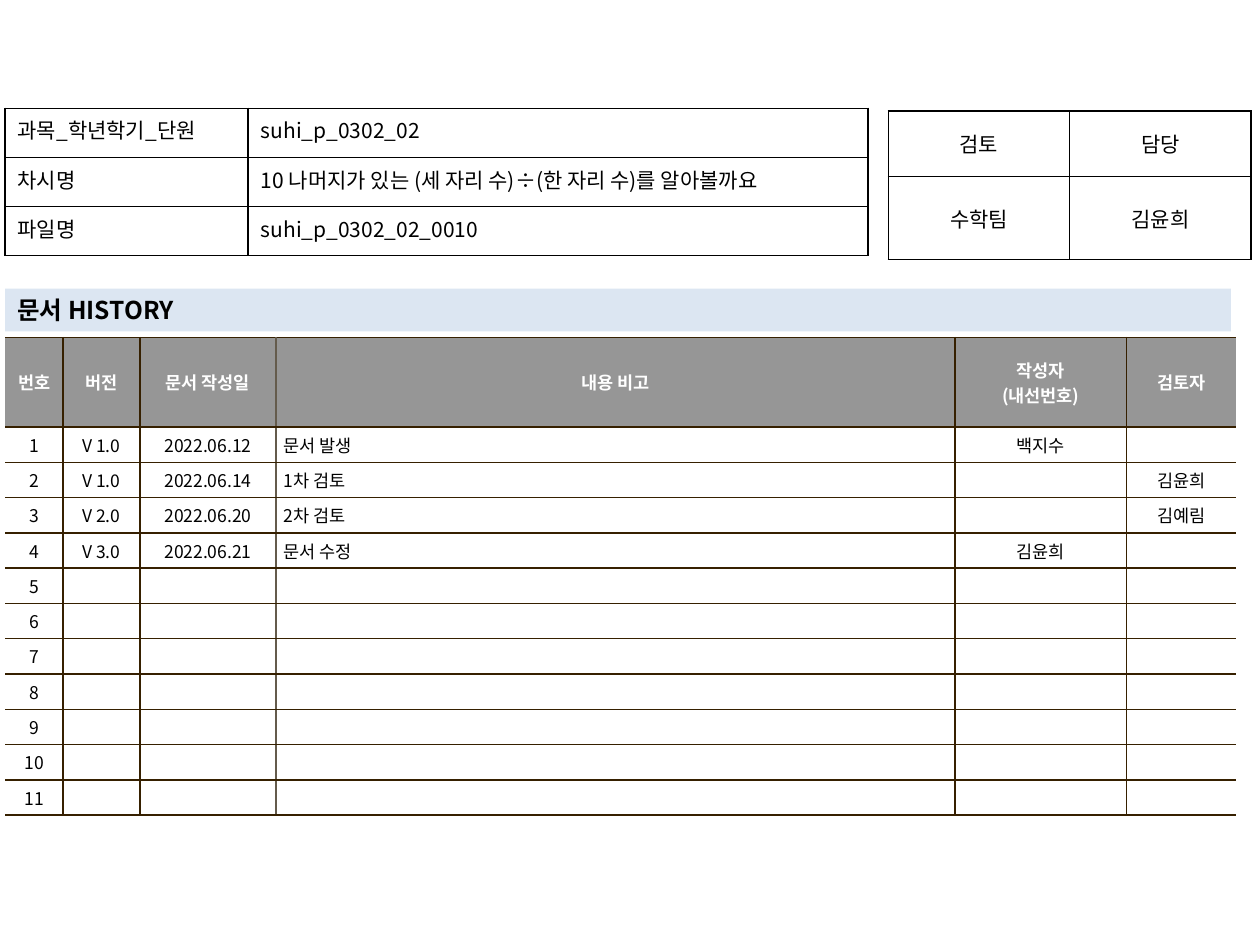
from lxml.etree import SubElement
from pptx import Presentation
from pptx.dml.color import RGBColor
from pptx.enum.shapes import MSO_SHAPE
from pptx.enum.text import MSO_ANCHOR as Anchor, PP_ALIGN as Align
from pptx.oxml.ns import qn
from pptx.util import Inches, Pt

FONT = "Noto Sans CJK KR"
BLACK, WHITE, GRAY, PALE_BLUE = "000000", "FFFFFF", "969696", "DCE6F2"
BROWN, TAUPE = "362000", "645B4C"
LEFT = 0.04

# Content
FILE_INFO = [
    ("과목_학년학기_단원", "suhi_p_0302_02"),
    ("차시명", "10 나머지가 있는 (세 자리 수)÷(한 자리 수)를 알아볼까요"),
    ("파일명", "suhi_p_0302_02_0010"),
]
APPROVAL = [("검토", "담당"), ("수학팀", "김윤희")]
TITLE = "문서 HISTORY"
HEADINGS = ("번호", "버전", "문서 작성일", "내용 비고", "작성자\n(내선번호)", "검토자")
REVISIONS = [
    ("V 1.0", "2022.06.12", "문서 발생", "백지수", ""),
    ("V 1.0", "2022.06.14", "1차 검토", "", "김윤희"),
    ("V 2.0", "2022.06.20", "2차 검토", "", "김예림"),
    ("V 3.0", "2022.06.21", "문서 수정", "김윤희", ""),
]
ROW_COUNT = 11
NOTE_COLUMN = 3


def rgb(color):
    return RGBColor.from_string(color)


def write(frame, text, size=12, color=BLACK, bold=False, align=Align.LEFT):
    for index, line in enumerate(text.split("\n")):
        paragraph = frame.paragraphs[0] if index == 0 else frame.add_paragraph()
        paragraph.alignment = align
        if not line:  # keeps empty table rows low
            paragraph._p.get_or_add_endParaRPr().set("sz", str(size * 100))
            continue
        run = paragraph.add_run()
        run.text = line
        run.font.size, run.font.bold, run.font.name = Pt(size), bold, FONT
        run.font.color.rgb = rgb(color)
        SubElement(run.font._element, qn("a:ea"), typeface=FONT)


def set_borders(cell, left, right, top, bottom):
    properties = cell._tc.get_or_add_tcPr()
    for side, color in zip("LRTB", (left, right, top, bottom)):
        line = SubElement(properties, qn(f"a:ln{side}"), w=str(Pt(1)))
        if color:
            fill = SubElement(line, qn("a:solidFill"))
            SubElement(fill, qn("a:srgbClr"), val=color)
        else:
            SubElement(line, qn("a:noFill"))


def add_table(slide, left, top, widths, heights):
    frame = slide.shapes.add_table(
        len(heights), len(widths), Inches(left), Inches(top),
        Inches(sum(widths)), Inches(sum(heights)))
    table = frame.table
    table.first_row = table.horz_banding = False
    for column, width in zip(table.columns, widths):
        column.width = Inches(width)
    for row, height in zip(table.rows, heights):
        row.height = Inches(height)
    return table


def add_boxed_table(slide, rows, left, top, widths, heights, aligns, anchor):
    table = add_table(slide, left, top, widths, heights)
    for r, row in enumerate(rows):
        for c, text in enumerate(row):
            cell = table.cell(r, c)
            set_borders(cell, *[BLACK] * 4)
            cell.fill.background()
            cell.vertical_anchor = anchor
            write(cell.text_frame, text, align=aligns[c])


def add_history(slide):
    blank = ("",) * (len(HEADINGS) - 1)
    entries = REVISIONS + [blank] * (ROW_COUNT - len(REVISIONS))
    rows = [HEADINGS] + [(str(n), *entry) for n, entry in enumerate(entries, 1)]
    table = add_table(slide, LEFT, 2.68, (0.46, 0.61, 1.08, 5.39, 1.36, 0.87),
                      [0.71] + [0.28] * ROW_COUNT)
    # Vertical rules, open at both outer edges
    rules = [None] + [BROWN] * (len(HEADINGS) - 1) + [None]
    rules[NOTE_COLUMN] = TAUPE
    for r, row in enumerate(rows):
        header = r == 0
        for c, text in enumerate(row):
            cell = table.cell(r, c)
            set_borders(cell, rules[c], rules[c + 1], BROWN, BROWN)
            cell.fill.solid()
            cell.fill.fore_color.rgb = rgb(GRAY if header else WHITE)
            cell.vertical_anchor = Anchor.MIDDLE
            cell.margin_left = cell.margin_right = Inches(0.06)
            cell.margin_top = cell.margin_bottom = Inches(0.04)
            is_note = c == NOTE_COLUMN and not header
            write(cell.text_frame, text, size=10, bold=header,
                  color=WHITE if header else BLACK,
                  align=Align.LEFT if is_note else Align.CENTER)


def add_title_bar(slide):
    bar = slide.shapes.add_shape(MSO_SHAPE.RECTANGLE, Inches(LEFT), Inches(2.29),
                                 Inches(9.73), Inches(0.34))
    bar.shadow.inherit = False
    bar.fill.solid()
    bar.fill.fore_color.rgb = rgb(PALE_BLUE)
    bar.line.fill.background()
    bar.text_frame.word_wrap = True
    bar.text_frame.vertical_anchor = Anchor.MIDDLE
    write(bar.text_frame, TITLE, size=14, bold=True)


def main():
    presentation = Presentation()
    presentation.slide_width, presentation.slide_height = Inches(10), Inches(7.5)
    slide = presentation.slides.add_slide(presentation.slide_layouts[6])

    add_history(slide)
    add_boxed_table(slide, APPROVAL, 7.05, 0.88, (1.44, 1.44), (0.52, 0.66),
                    (Align.CENTER, Align.CENTER), Anchor.MIDDLE)
    add_title_bar(slide)
    add_boxed_table(slide, FILE_INFO, LEFT, 0.86, (1.93, 4.92), [0.39] * 3,
                    (Align.JUSTIFY, Align.LEFT), Anchor.TOP)
    presentation.save("out.pptx")


if __name__ == "__main__":
    main()
